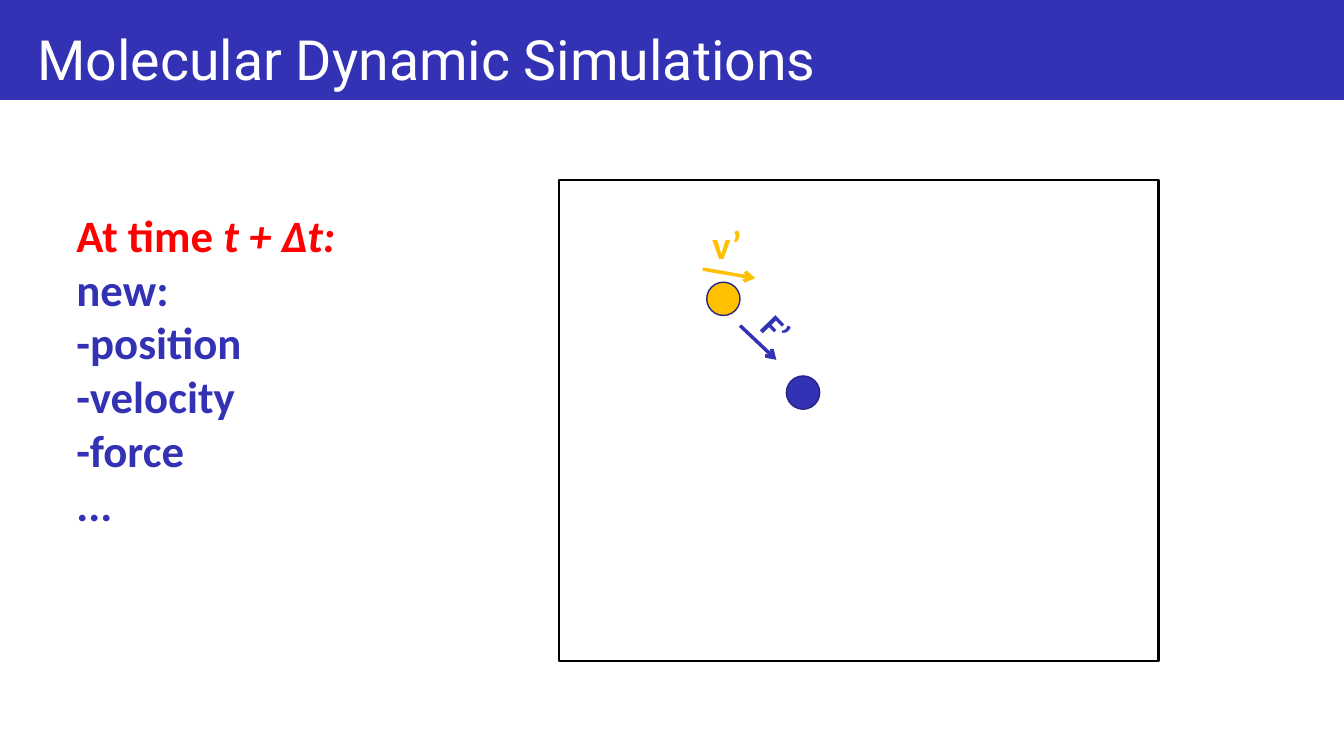
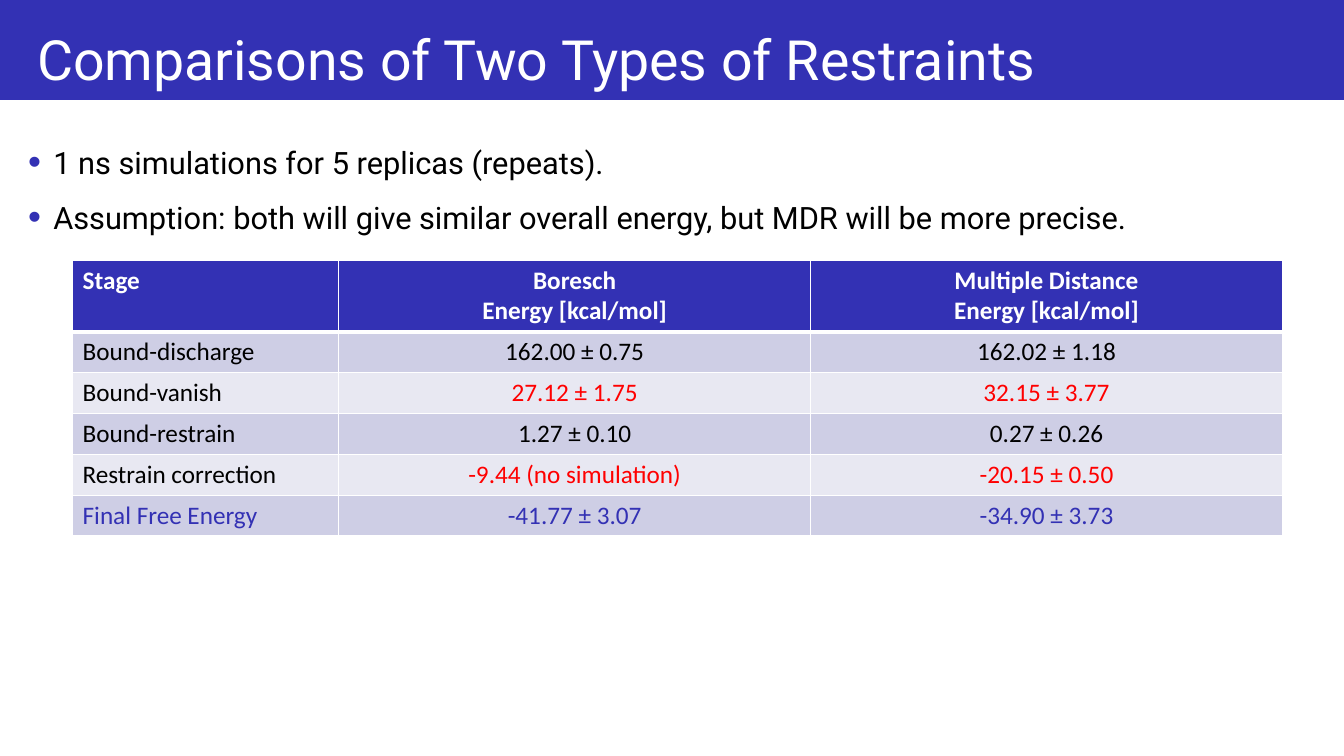
from lxml import etree
from pptx import Presentation
from pptx.dml.color import RGBColor
from pptx.enum.shapes import MSO_CONNECTOR, MSO_SHAPE
from pptx.enum.text import MSO_ANCHOR, PP_ALIGN
from pptx.oxml.ns import qn
from pptx.util import Inches, Pt

RECT, OVAL = MSO_SHAPE.RECTANGLE, MSO_SHAPE.OVAL
STRAIGHT = MSO_CONNECTOR.STRAIGHT
MIDDLE = MSO_ANCHOR.MIDDLE
LEFT, CENTER = PP_ALIGN.LEFT, PP_ALIGN.CENTER

COLORS = {
    "blue": "3331B4",
    "navy": "262587",
    "gold": "FFC000",
    "red": "FF0000",
    "black": "000000",
    "white": "FFFFFF",
    "band_dark": "CECEE5",
    "band_light": "E8E8F2",
}
RGB = {name: RGBColor.from_string(value) for name, value in COLORS.items()}
HEADING, BODY = "Roboto", "Calibri"


def style(p, size, font, color, bold=False, align=LEFT):
    p.alignment = align
    for r in p.runs:
        r.font.size = Pt(size)
        r.font.name = font
        r.font.bold = bold
        r.font.color.rgb = RGB[color]


def add_titled_slide(title):
    s = prs.slides.add_slide(prs.slide_layouts[6])
    sp = s.shapes.add_shape(RECT, 0, 0, prs.slide_width, Inches(0.99))
    sp.shadow.inherit = False
    sp.fill.solid()
    sp.fill.fore_color.rgb = RGB["blue"]
    sp.line.fill.background()
    tf = sp.text_frame
    tf.word_wrap = True
    tf.vertical_anchor = MIDDLE
    tf.margin_left, tf.margin_right = Inches(0.37), Inches(0.1)
    tf.margin_top, tf.margin_bottom = Inches(0.3), Inches(0.05)
    tf.text = title
    p = tf.paragraphs[0]
    p.line_spacing = 0.9
    style(p, 39.6, HEADING, "white")
    return s


prs = Presentation()
prs.slide_width, prs.slide_height = Inches(13.33), Inches(7.5)

s = add_titled_slide("Molecular Dynamic Simulations")

sp = s.shapes.add_shape(RECT, Inches(5.54), Inches(1.79), Inches(5.95), Inches(4.77))
sp.shadow.inherit = False
sp.fill.background()
sp.line.color.rgb = RGB["black"]
sp.line.width = Pt(1.5)

for x, y, color in [(7.01, 2.8, "gold"), (7.8, 3.73, "blue")]:
    sp = s.shapes.add_shape(OVAL, Inches(x), Inches(y), Inches(0.33), Inches(0.33))
    sp.shadow.inherit = False
    sp.fill.solid()
    sp.fill.fore_color.rgb = RGB[color]
    sp.line.color.rgb = RGB["navy"]
    sp.line.width = Pt(1)

tf = s.shapes.add_textbox(Inches(0.66), Inches(2.01), Inches(5.12), Inches(3.87)).text_frame
tf.word_wrap = True
tf.text = "At time \nnew:\n-position\n-velocity\n-force\n..."
r = tf.paragraphs[0].add_run()
r.text = "t + Δt:"
r.font.italic = True
for i, p in enumerate(tf.paragraphs):
    style(p, 32, BODY, "blue" if i else "red", bold=True)

vectors = [
    ("v’", 28, "gold", (6.97, 2.67, 7.49, 2.76), (6.81, 2.14), 0),
    ("F’", 24, "blue", (7.34, 3.23, 7.7, 3.57), (7.32, 3.02), 46),
]
for label, size, color, ends, (x, y), angle in vectors:
    arrow = s.shapes.add_connector(STRAIGHT, *[Inches(v) for v in ends])
    arrow.line.color.rgb = RGB[color]
    arrow.line.width = Pt(2.5)
    etree.SubElement(arrow.line._get_or_add_ln(), qn("a:tailEnd"), type="arrow")
    etree.SubElement(arrow._element.spPr, qn("a:effectLst"))

    sp = s.shapes.add_textbox(Inches(x), Inches(y), Inches(0.8), Inches(0.45))
    sp.rotation = angle
    tf = sp.text_frame
    tf.word_wrap = False
    tf.text = label
    style(tf.paragraphs[0], size, BODY, color, bold=True, align=CENTER)

s = add_titled_slide("Comparisons of Two Types of Restraints")

rows = [
    ("Stage", "Boresch\nEnergy [kcal/mol]", "Multiple Distance\nEnergy [kcal/mol]"),
    ("Bound-discharge", "162.00 ± 0.75", "162.02 ± 1.18"),
    ("Bound-vanish", "27.12 ± 1.75", "32.15 ± 3.77"),
    ("Bound-restrain", "1.27 ± 0.10", "0.27 ± 0.26"),
    ("Restrain correction", "-9.44 (no simulation)", "-20.15 ± 0.50"),
    ("Final Free Energy", "-41.77 ± 3.07", "-34.90 ± 3.73"),
]
value_colors = ["white", "black", "red", "black", "red", "blue"]
stage_colors = ["white", "black", "black", "black", "black", "blue"]

table = s.shapes.add_table(
    len(rows), 3, Inches(0.72), Inches(2.58), Inches(12), Inches(2.7)
).table
for column, width in zip(table.columns, [2.64, 4.68, 4.68]):
    column.width = Inches(width)

for i, row in enumerate(rows):
    table.rows[i].height = Inches(0.4 if i else 0.7)
    fill = ("band_dark" if i % 2 else "band_light") if i else "blue"
    for j, value in enumerate(row):
        cell = table.cell(i, j)
        cell.text_frame.text = value
        for p in cell.text_frame.paragraphs:
            color = value_colors[i] if j else stage_colors[i]
            style(p, 18, BODY, color, bold=i == 0, align=CENTER if j else LEFT)
        tcPr = cell._tc.get_or_add_tcPr()
        for side in ["L", "R", "T", "B"]:
            thick = (i, side) in [(0, "B"), (1, "T")]
            ln = etree.SubElement(tcPr, qn(f"a:ln{side}"), w=str(Pt(3 if thick else 1)))
            solid = etree.SubElement(ln, qn("a:solidFill"))
            etree.SubElement(solid, qn("a:srgbClr"), val=COLORS["white"])
        cell.fill.solid()
        cell.fill.fore_color.rgb = RGB[fill]

tf = s.shapes.add_textbox(Inches(0.18), Inches(1.34), Inches(12.55), Inches(1.23)).text_frame
tf.word_wrap = True
tf.text = (
    "1 ns simulations for 5 replicas (repeats).\n"
    "Assumption: both will give similar overall energy, but MDR will be more precise."
)
for i, p in enumerate(tf.paragraphs):
    pPr = p._p.get_or_add_pPr()
    pPr.set("marL", str(Inches(0.25)))
    pPr.set("indent", str(-Inches(0.25)))
    bullet = etree.SubElement(pPr, qn("a:buClr"))
    etree.SubElement(bullet, qn("a:srgbClr"), val=COLORS["blue"])
    etree.SubElement(pPr, qn("a:buSzPct"), val="120000")
    etree.SubElement(pPr, qn("a:buFont"), typeface="Arial")
    etree.SubElement(pPr, qn("a:buChar"), char="•")
    p.line_spacing = 1.1
    p.space_before = Pt(10 if i else 0)
    style(p, 22, HEADING, "black")

prs.save("out.pptx")
